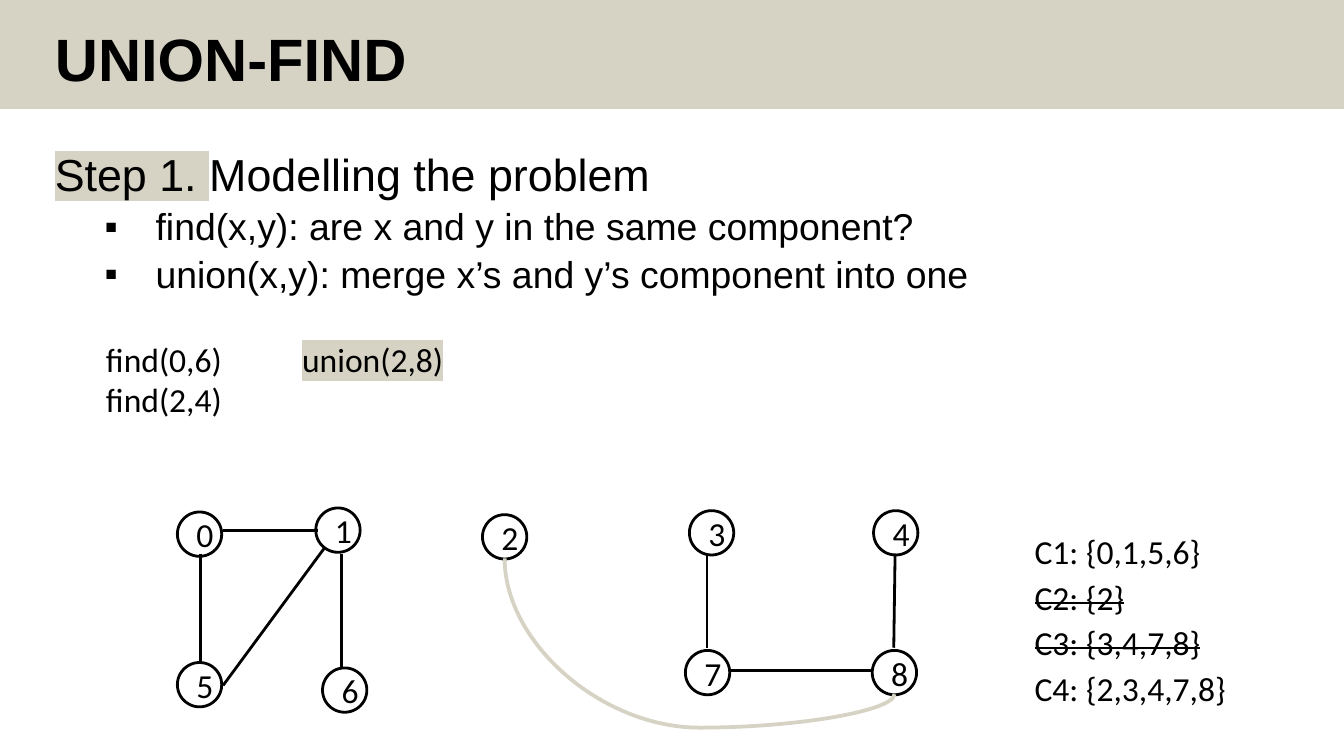
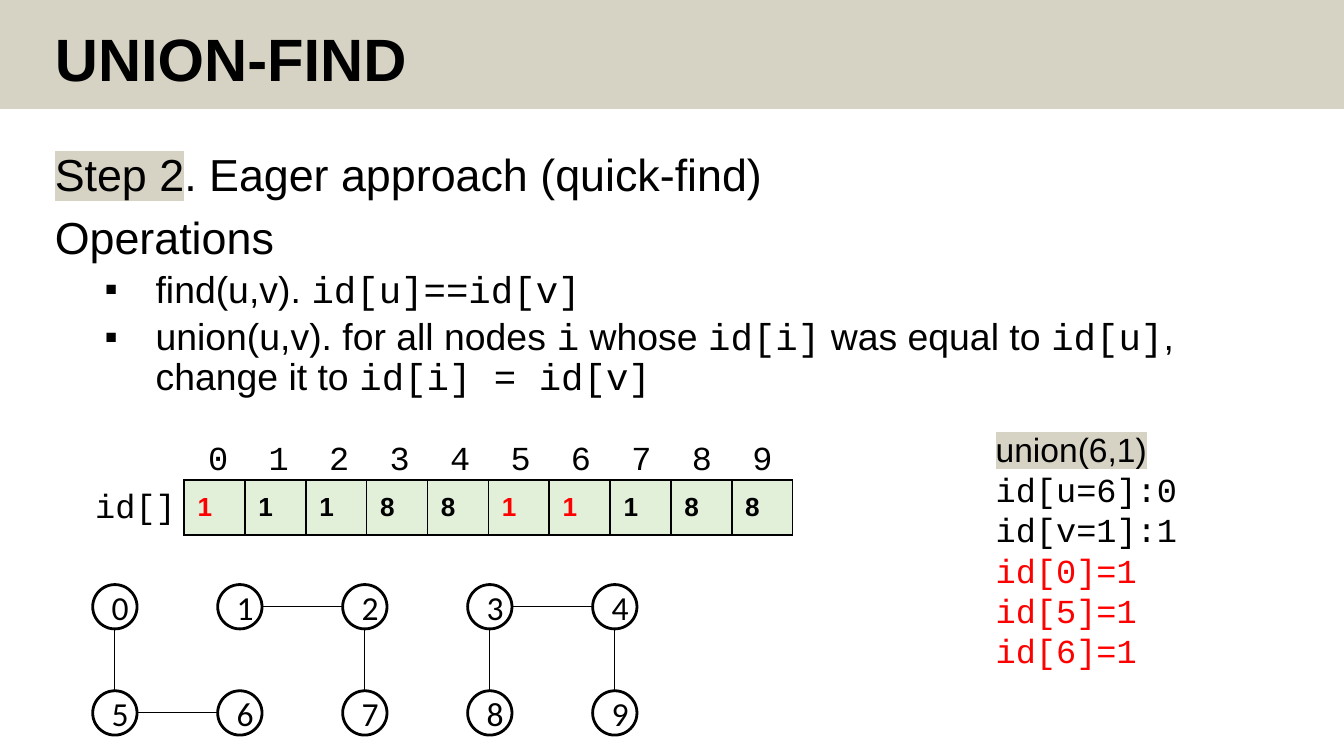
from pptx import Presentation
from pptx.util import Inches, Pt
from pptx.dml.color import RGBColor
from pptx.enum.shapes import MSO_CONNECTOR, MSO_SHAPE
from pptx.enum.text import MSO_ANCHOR, PP_ALIGN
from pptx.oxml.ns import qn
from lxml.etree import SubElement

COLORS = {"band": "D6D2C4", "ink": "000000", "red": "FF0000", "cell": "E2F0D9"}
SANS, NODE, CODE = "Arial", "Calibri", "Courier New"
WIDTH, SIZE = 10, 0.33


def color(name):
    return RGBColor.from_string(COLORS[name])


def style(run, font=SANS, size=18, ink="ink", bold=False, mark=False, strike=False):
    run.font.name = font
    run.font.size = Pt(size)
    run.font.bold = bold
    run.font.color.rgb = color(ink)
    props = run.font._element
    if strike:
        props.set("strike", "sngStrike")
    if mark:
        light = SubElement(props, qn("a:highlight"))
        SubElement(light, qn("a:srgbClr"), val=COLORS["band"])
        props.find(qn("a:solidFill")).addnext(light)


def label(slide, x, y, w, h, lines, wrap=False):
    frame = slide.shapes.add_textbox(Inches(x), Inches(y), Inches(w), Inches(h)).text_frame
    frame.word_wrap = wrap
    for i, (text, look) in enumerate(lines):
        para = frame.add_paragraph() if i else frame.paragraphs[0]
        para.text = text
        style(para.runs[0], **look)
    return frame


def header(slide, x, y, w, h):
    band = slide.shapes.add_shape(MSO_SHAPE.RECTANGLE, Inches(x), Inches(y), Inches(w), Inches(h))
    band.shadow.inherit = False
    band.fill.solid()
    band.fill.fore_color.rgb = color("band")
    band.line.fill.background()
    title = label(slide, x + 0.31, y + 0.17, 8.62, h - 0.17,
                  [("UNION-FIND", {"size": 32, "bold": True})], True)
    title.paragraphs[0].line_spacing = 0.9


def bullet(para):
    props = para._p.get_or_add_pPr()
    props.set("lvl", "1")
    props.set("marL", str(Inches(0.75)))
    props.set("indent", str(-Inches(0.38)))
    SubElement(props, qn("a:buFont"), typeface=SANS)
    SubElement(props, qn("a:buChar"), char="▪")


def body(slide, x, y, w, h, heads, points):
    frame = slide.shapes.add_textbox(Inches(x), Inches(y), Inches(w), Inches(h)).text_frame
    frame.word_wrap = True
    for i, parts in enumerate(heads + points):
        para = frame.add_paragraph() if i else frame.paragraphs[0]
        point = i >= len(heads)
        if point:
            bullet(para)
        para.line_spacing = 0.9
        if i:
            para.space_before = Pt(3.8 if point else 7.5)
        for text, look in parts:
            run = para.add_run()
            run.text = text
            style(run, size=20 if point else 24, **look)


def link(slide, x1, y1, x2, y2, ink="ink", width=1.5, kind=MSO_CONNECTOR.STRAIGHT):
    line = slide.shapes.add_connector(kind, Inches(x1), Inches(y1), Inches(x2), Inches(y2))
    line.line.color.rgb = color(ink)
    line.line.width = Pt(width)
    SubElement(line._element.spPr, qn("a:effectLst"))
    return line


def node(slide, x, y, name):
    dot = slide.shapes.add_shape(MSO_SHAPE.OVAL, Inches(x), Inches(y), Inches(SIZE), Inches(SIZE))
    dot.shadow.inherit = False
    dot.fill.background()
    dot.line.color.rgb = color("ink")
    dot.line.width = Pt(1.5)
    frame = dot.text_frame
    frame.margin_left = Inches(0.08)
    frame.margin_top = frame.margin_right = frame.margin_bottom = 0
    frame.word_wrap = False
    frame.vertical_anchor = MSO_ANCHOR.MIDDLE
    frame.text = str(name)
    frame.paragraphs[0].alignment = PP_ALIGN.CENTER
    style(frame.paragraphs[0].runs[0], font=NODE)


def forest(slide, x, y):
    edges = [(0.17, 0.34, 0.17, 1.15), (0.34, 0.17, 1.05, 0.17), (1.22, 0.34, 1.22, 1.18),
             (0.34, 1.32, 1.1, 0.29), (3.94, 0.34, 3.94, 1.04), (5.34, 0.34, 5.33, 1.04),
             (4.11, 1.21, 5.16, 1.21)]
    for x1, y1, x2, y2 in edges:
        link(slide, x + x1, y + y1, x + x2, y + y2)
    spots = [(0, 0.03), (1.03, 0), (2.27, 0.05), (3.81, 0.02), (5.18, 0.02),
             (0, 1.15), (1.08, 1.19), (3.78, 1.06), (5.17, 1.06)]
    for name, (dx, dy) in enumerate(spots):
        node(slide, x + dx, y + dy, name)
    curve = link(slide, x + 3.38, y - 0.57, x + 4.39, y + 2.33, "band", 2, MSO_CONNECTOR.CURVE)
    shape = curve._element.spPr
    frame = shape.find(qn("a:xfrm"))
    frame.set("rot", "16200000")
    frame.set("flipH", "1")
    guides = shape.find(qn("a:prstGeom")).find(qn("a:avLst"))
    SubElement(guides, qn("a:gd"), name="adj1", fmla="val 124700")


def sets(slide, x, y):
    rows = [("C1: {0,1,5,6}", False), ("C2: {2}", True),
            ("C3: {3,4,7,8}", True), ("C4: {2,3,4,7,8}", False)]
    for i, (text, gone) in enumerate(rows):
        label(slide, x, y + 0.34 * i, 1.64, 0.4, [(text, {"font": NODE, "strike": gone})])


def grid(slide, x, y):
    step, drop, mid = 0.93, 0.79, SIZE / 2
    for name in range(10):
        row, col = divmod(name, 5)
        node(slide, x + step * col, y + drop * row, name)
    for row, col in [(1, 0), (0, 1), (0, 3)]:
        left, level = x + step * col, y + drop * row + mid
        link(slide, left + SIZE, level, left + step, level, width=0.5)
    for col in (0, 2, 3, 4):
        centre = x + step * col + mid
        link(slide, centre, y + SIZE, centre, y + drop, width=0.5)


def border(cell):
    props = cell._tc.get_or_add_tcPr()
    for side in ("lnL", "lnR", "lnT", "lnB"):
        line = SubElement(props, qn("a:" + side), w=str(Pt(1)))
        fill = SubElement(line, qn("a:solidFill"))
        SubElement(fill, qn("a:srgbClr"), val=COLORS["ink"])


def array(slide, x, y, w, h):
    values, fresh = "1118811188", (0, 5, 6)
    label(slide, x - 0.76, y - 0.01, 0.81, 0.4, [("id[]", {"font": CODE})])
    heads = label(slide, x + 0.08, y - 0.37, 4.72, 0.4,
                  [("\t".join(map(str, range(10))), {"font": CODE})], True)
    stops = SubElement(heads.paragraphs[0]._p.get_or_add_pPr(), qn("a:tabLst"))
    for i in range(1, 10):
        SubElement(stops, qn("a:tab"), pos=str(Inches(0.45 * i)), algn="l")
    table = slide.shapes.add_table(1, 10, Inches(x), Inches(y), Inches(w), Inches(h)).table
    table.first_row = table.horz_banding = False
    for i, value in enumerate(values):
        cell = table.cell(0, i)
        border(cell)
        cell.fill.solid()
        cell.fill.fore_color.rgb = color("cell")
        cell.vertical_anchor = MSO_ANCHOR.MIDDLE
        cell.text_frame.text = value
        style(cell.text_frame.paragraphs[0].runs[0], size=14, bold=True,
              ink="red" if i in fresh else "ink")


def model(slide):
    header(slide, 0, 0, WIDTH, 0.81)
    body(slide, 0.31, 1.09, 9.14, 4.1,
         [[("Step 1. ", {"mark": True}), ("Modelling the problem", {})]],
         [[("find(x,y): are x and y in the same component?", {})],
          [("union(x,y): merge x’s and y’s component into one", {})]])
    forest(slide, 1.32, 3.78)
    sets(slide, 7.6, 3.9)
    label(slide, 0.69, 2.47, 1.08, 0.71,
          [("find(0,6)", {"font": NODE}), ("find(2,4)", {"font": NODE})])
    label(slide, 2.15, 2.47, 1.27, 0.4, [("union(2,8)", {"font": NODE, "mark": True})])


def eager(slide):
    code, red = {"font": CODE}, {"font": CODE, "ink": "red"}
    header(slide, 0, 0, WIDTH, 0.81)
    body(slide, 0.31, 1.09, 9.14, 4.1,
         [[("Step 2", {"mark": True}), (". Eager approach (quick-find)", {})],
          [("Operations", {})]],
         [[("find(u,v). ", {}), ("id[u]==id[v]", code)],
          [("union(u,v). for all nodes ", {}), ("i", code), (" whose ", {}), ("id[i]", code),
           (" was equal to ", {}), ("id[u]", code), (", change it to ", {}),
           ("id[i] = id[v]", code)]])
    array(slide, 1.37, 3.57, 4.53, 0.41)
    label(slide, 7.31, 3.14, 1.56, 1.92,
          [("union(6,1)", {"mark": True}), ("id[u=6]:0", code), ("id[v=1]:1", code),
           ("id[0]=1", red), ("id[5]=1", red), ("id[6]=1", red)])
    grid(slide, 0.69, 4.35)


def main():
    deck = Presentation()
    deck.slide_width, deck.slide_height = Inches(WIDTH), Inches(WIDTH * 9 / 16)
    for build in (model, eager):
        build(deck.slides.add_slide(deck.slide_layouts[6]))
    deck.save("out.pptx")


if __name__ == "__main__":
    main()
